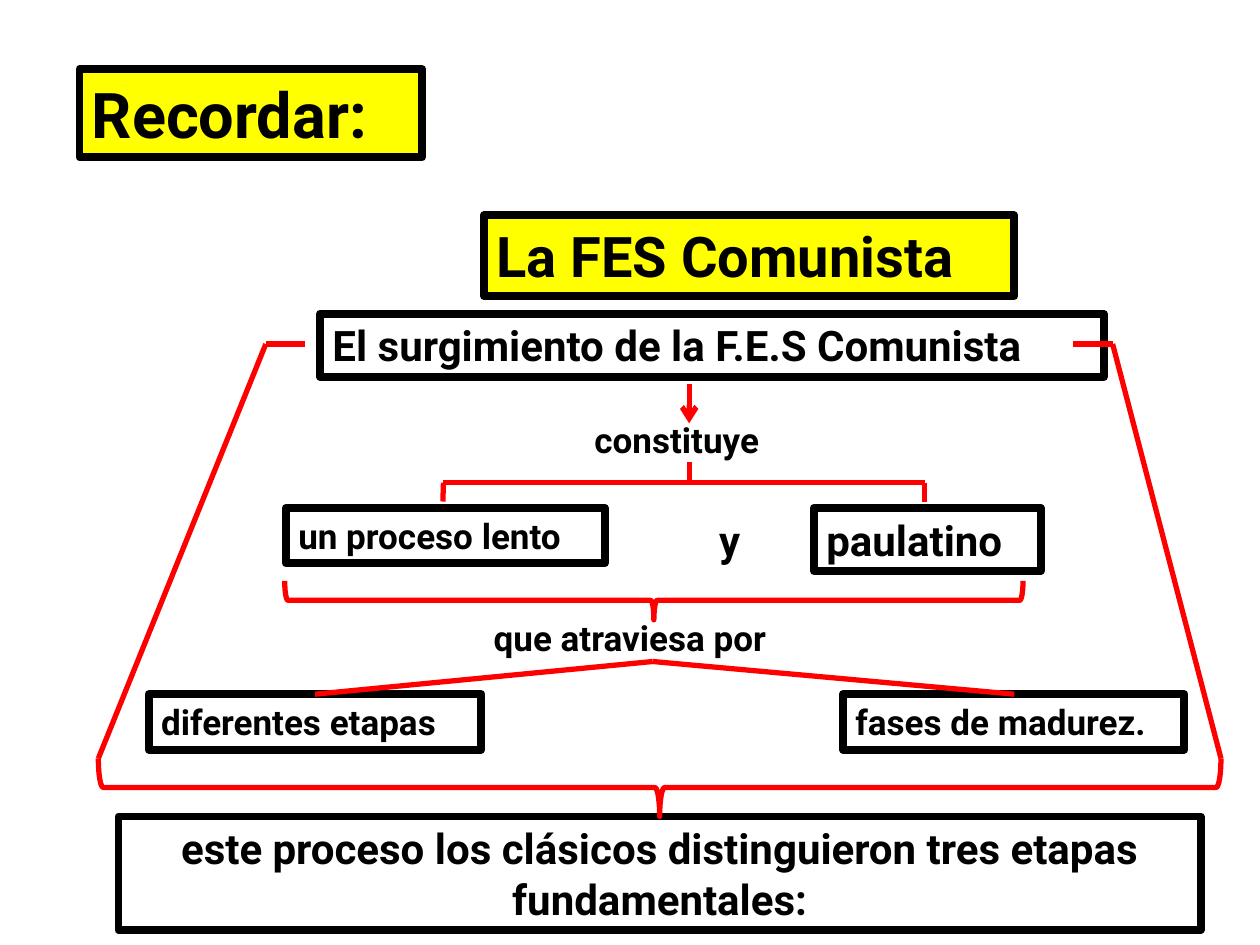
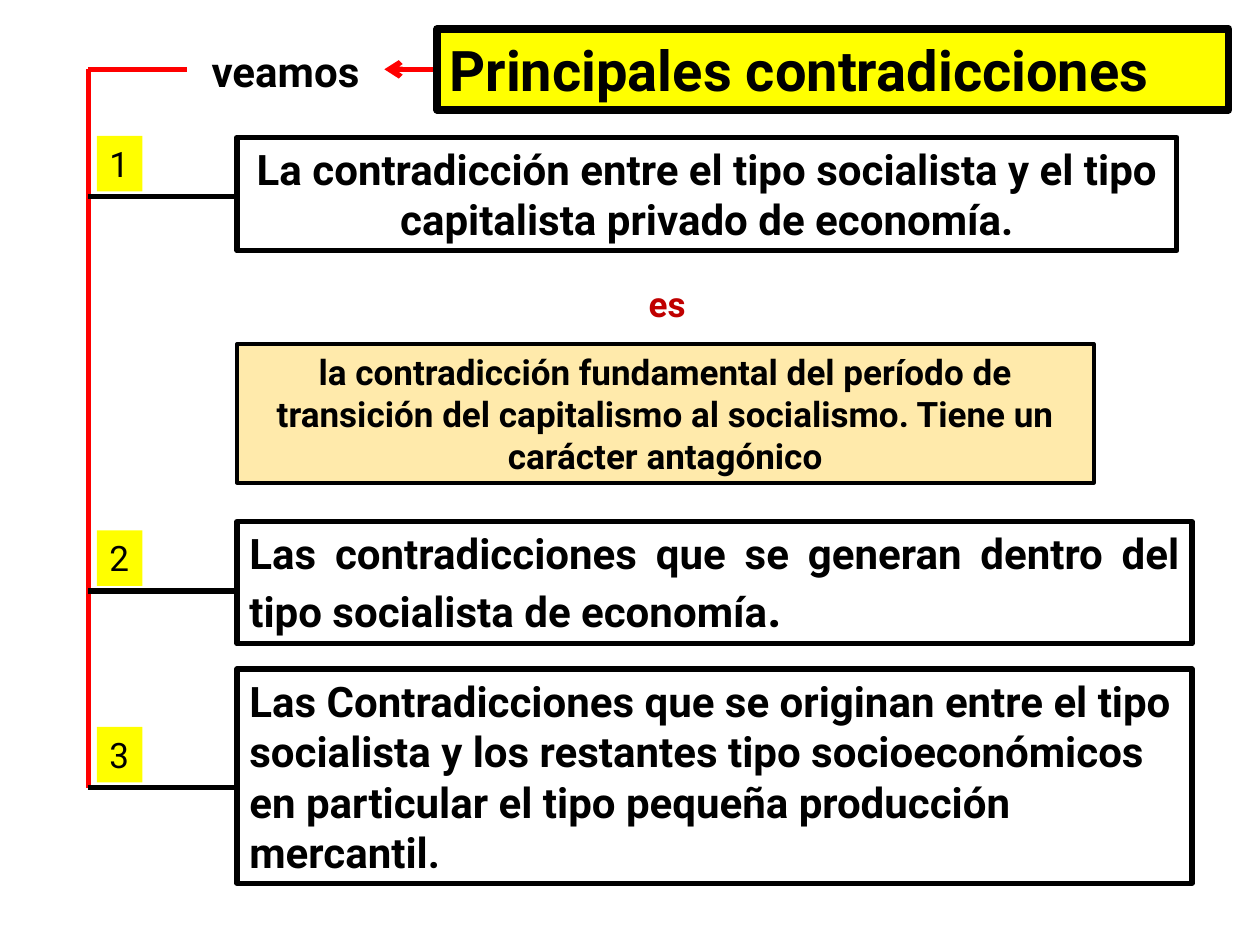
from dataclasses import dataclass
from itertools import pairwise

from lxml import etree
from pptx import Presentation
from pptx import util as u
from pptx.dml import color
from pptx.enum import shapes, text
from pptx.oxml import ns

FONT = "Roboto"
BLACK, WHITE, RED = "000000", "FFFFFF", "FF0000"
YELLOW, AMBER, DARK_RED = "FFFF00", "FFC000", "C00000"
THICK, MEDIUM, THIN = 4.5, 3, 2.25
LEFT, CENTER, JUSTIFY = text.PP_ALIGN.LEFT, text.PP_ALIGN.CENTER, text.PP_ALIGN.JUSTIFY

Point = tuple[float, float]


@dataclass
class Run:
    words: str
    size: float
    ink: str = BLACK
    bold: bool = True


@dataclass
class Box:
    left: float
    top: float
    width: float
    height: float
    runs: list[Run]
    fill: str | None = None
    border: float = 0
    align: text.PP_ALIGN = LEFT
    alpha: int = 100


def rgb(value: str) -> color.RGBColor:
    return color.RGBColor.from_string(value)


def child(parent, tag: str, **attributes: str):
    return etree.SubElement(parent, ns.qn(tag), **attributes)


def draw_box(s, box: Box) -> None:
    sp = s.shapes.add_shape(shapes.MSO_SHAPE.RECTANGLE, u.Pt(box.left), u.Pt(box.top),
                            u.Pt(box.width), u.Pt(box.height))
    sp.shadow.inherit = False
    if box.fill:
        sp.fill.solid()
        sp.fill.fore_color.rgb = rgb(box.fill)
        if box.alpha < 100:
            paint = sp._element.spPr.find(".//" + ns.qn("a:srgbClr"))
            child(paint, "a:alpha", val=str(box.alpha * 1000))
    else:
        sp.fill.background()
    if box.border:
        sp.line.color.rgb = rgb(BLACK)
        sp.line.width = u.Pt(box.border)
    else:
        sp.line.fill.background()

    tf = sp.text_frame
    tf.word_wrap = True
    tf.vertical_anchor = text.MSO_ANCHOR.TOP
    p = tf.paragraphs[0]
    p.alignment = box.align
    for run in box.runs:
        r = p.add_run()
        r.text = run.words
        r.font.name = FONT
        r.font.size = u.Pt(run.size)
        r.font.bold = run.bold
        r.font.color.rgb = rgb(run.ink)


def draw_path(s, *points: Point, ink: str = RED, arrow: bool = False) -> None:
    """Join the points with straight connectors; arrow puts a head on each end point."""
    for start, end in pairwise(points):
        cx = s.shapes.add_connector(shapes.MSO_CONNECTOR.STRAIGHT,
                                    *(u.Pt(v) for v in (*start, *end)))
        cx.line.color.rgb = rgb(ink)
        cx.line.width = u.Pt(MEDIUM)
        if arrow:
            child(cx.line._get_or_add_ln(), "a:tailEnd", type="arrow")
        child(cx._element.spPr, "a:effectLst")


def draw_brace(s, left: float, top: float, width: float, height: float) -> None:
    """Draw a brace that points down and fills the given area."""
    shift = (width - height) / 2
    sp = s.shapes.add_shape(shapes.MSO_SHAPE.RIGHT_BRACE, u.Pt(left + shift),
                            u.Pt(top - shift), u.Pt(height), u.Pt(width))
    sp.rotation = 90
    sp.shadow.inherit = False
    sp.fill.background()
    sp.line.color.rgb = rgb(RED)
    sp.line.width = u.Pt(MEDIUM)


def build_summary(s) -> None:
    boxes = [
        Box(45.4, 39.6, 195.8, 50.4, [Run("Recordar:", 36)], YELLOW, THICK),
        Box(276.5, 123.1, 303.1, 46.1, [Run("La FES Comunista", 32)], YELLOW, THICK),
        Box(182.9, 179.3, 447.8, 36, [Run("El surgimiento de la F.E.S Comunista", 24)],
            WHITE, THICK),
        Box(332.6, 235.4, 120.2, 31.7, [Run("constituye", 20)]),
        Box(163.4, 290.2, 182.2, 31.7, [Run("un proceso lento", 20)], WHITE, THICK),
        Box(403.9, 290.2, 28.1, 36, [Run("y", 24)]),
        Box(465.1, 290.2, 129.6, 36, [Run("paulatino", 24)], WHITE, THICK),
        Box(275, 348.5, 195.1, 31.7, [Run("que atraviesa por", 20)]),
        Box(85, 396.7, 190.1, 31.7, [Run("diferentes etapas", 20)], WHITE, THICK),
        Box(481.7, 396.7, 195.1, 31.7, [Run("fases de madurez.", 20)], WHITE, THICK),
        Box(67.7, 466.6, 618.5, 64.8,
            [Run("este proceso los clásicos distinguieron tres etapas fundamentales:", 24)],
            WHITE, THICK, CENTER),
    ]
    for box in boxes:
        draw_box(s, box)

    stem_x, fork_y = 393.8, 275.8
    draw_path(s, (stem_x, 219.6), (stem_x, 241.9), arrow=True)
    draw_path(s, (stem_x, 264.2), (stem_x, fork_y))
    draw_path(s, (253.1, 286.6), (253.4, fork_y), (528.5, fork_y), (528.5, 286.6))
    draw_path(s, (180, 396.7), (373, 378), (579.6, 396.7))

    draw_brace(s, 162.7, 331.9, 421.9, 22.3)
    outer_left, outer_right, outer_y, shoulder_y = 56.2, 697.7, 433.4, 196.6
    draw_brace(s, outer_left, outer_y, outer_right - outer_left, 33.2)
    draw_path(s, (174.2, shoulder_y), (151.9, shoulder_y), (outer_left, outer_y))
    draw_path(s, (613.4, shoulder_y), (635.8, shoulder_y), (outer_right, outer_y))


def build_contradictions(s) -> None:
    trunk_x, trunk_top, item_x = 50.4, 39.6, 135.4
    branches = [112.3, 337.7, 450]
    draw_path(s, (106.6, trunk_top), (trunk_x, trunk_top), (trunk_x, branches[-1]))

    boxes = [
        Box(249.8, 16.6, 452.2, 46.1, [Run("Principales contradicciones", 32)],
            YELLOW, THICK),
        Box(113.8, 22.3, 107.3, 36, [Run("veamos", 24)]),
        Box(item_x, 78.5, 537.1, 64.8,
            [Run("La contradicción entre el tipo socialista y el tipo capitalista "
                 "privado de economía.", 24)], border=MEDIUM, align=CENTER),
        Box(363.6, 157.7, 36.5, 31.7, [Run("es", 20, DARK_RED)]),
        Box(item_x, 196.6, 489.6, 79.2,
            [Run("la contradicción fundamental del período de transición del "
                 "capitalismo al socialismo. Tiene un carácter antagónico", 20)],
            AMBER, THIN, CENTER, alpha=33),
        Box(item_x, 298.1, 545.8, 69.8,
            [Run("Las contradicciones que se generan dentro del tipo socialista "
                 "de economía", 24), Run(".", 28)], border=MEDIUM, align=JUSTIFY),
        Box(item_x, 382.3, 545.8, 122.4,
            [Run("Las Contradicciones que se originan entre el tipo socialista y los "
                 "restantes tipo socioeconómicos en particular el tipo pequeña "
                 "producción mercantil.", 24)], border=MEDIUM),
    ]
    for box in boxes:
        draw_box(s, box)

    draw_path(s, (247.7, trunk_top), (219.6, trunk_top), arrow=True)
    for number, y in enumerate(branches, 1):
        draw_path(s, (item_x, y), (trunk_x, y), ink=BLACK)
        draw_box(s, Box(55.4, y - 34.6, 26, 31.7,
                        [Run(str(number), 20, bold=False)], YELLOW))


def main() -> None:
    prs = Presentation()
    prs.slide_width, prs.slide_height = u.Pt(720), u.Pt(540)
    for build in (build_summary, build_contradictions):
        build(prs.slides.add_slide(prs.slide_layouts[6]))
    prs.save("out.pptx")


if __name__ == "__main__":
    main()
